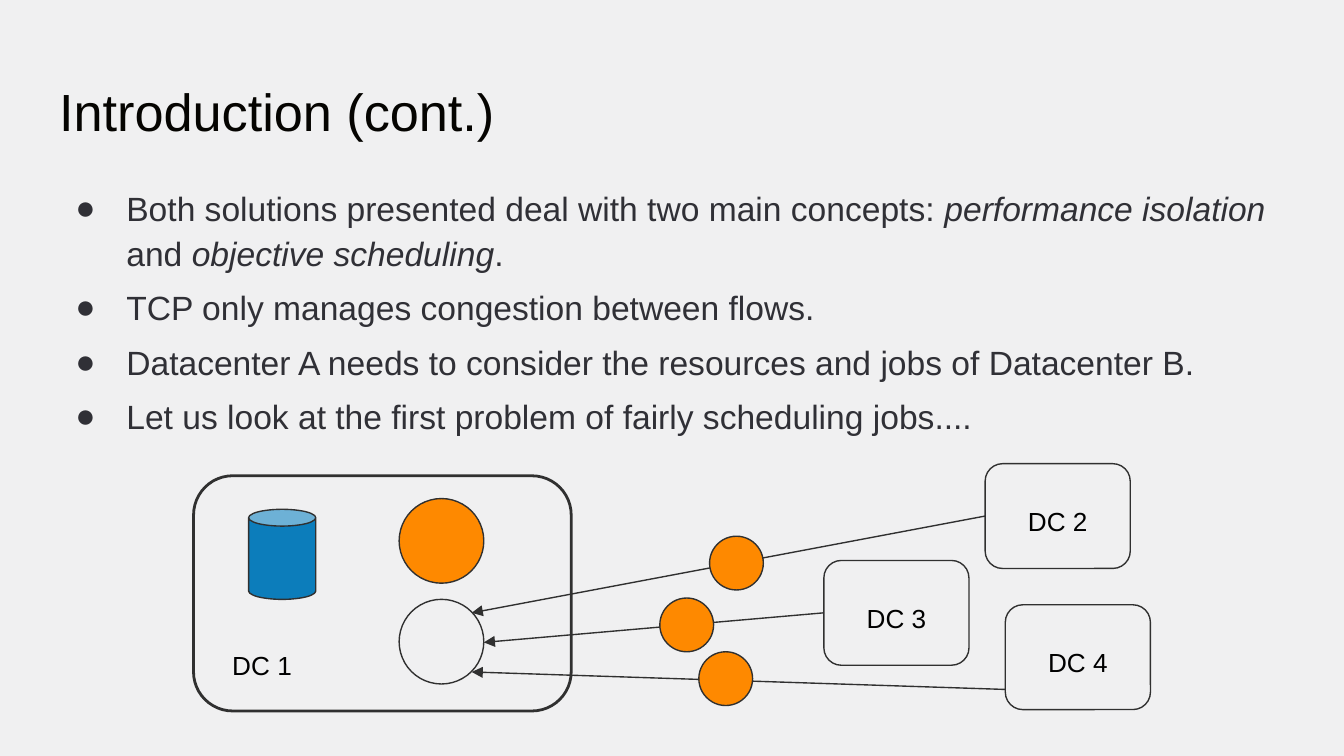
"""Build the slide on scheduling jobs between datacenters."""
from typing import Any, NamedTuple, Optional

from lxml.etree import SubElement
from pptx import Presentation
from pptx.dml.color import RGBColor
from pptx.enum.shapes import MSO_CONNECTOR as Connector, MSO_SHAPE as Preset
from pptx.enum.text import MSO_ANCHOR as Anchor, MSO_AUTO_SIZE as AutoSize, PP_ALIGN as Align
from pptx.oxml.ns import qn
from pptx.util import Inches, Pt

COLORS = {"background": "F0F0F1", "title": "050401", "body": "303036", "label": "000000",
          "line": "303030", "storage": "0C7DBB", "job": "FE8900"}
SLIDE_FORMAT = {"slide_width": Inches(10), "slide_height": Inches(10 * 9 / 16)}
FRAME_FORMAT = {"word_wrap": True, "auto_size": AutoSize.NONE, "vertical_anchor": Anchor.TOP,
                **{f"margin_{side}": Inches(0.1) for side in ("left", "top", "right", "bottom")}}
BULLET_FORMAT = {"alignment": Align.LEFT, "line_spacing": 1.12,
                 "space_before": Pt(5), "space_after": Pt(0)}
BULLETS = [
    [("Both solutions presented deal with two main concepts: ", False),
     ("performance isolation", True), (" and ", False),
     ("objective scheduling", True), (".", False)],
    [("TCP only manages congestion between flows.", False)],
    [("Datacenter A needs to consider the resources and jobs of Datacenter B.", False)],
    [("Let us look at the first problem of fairly scheduling jobs....", False)],
]


class Node(NamedTuple):
    preset: Preset
    left: float
    top: float
    width: float
    height: float
    color: Optional[str] = None
    line_width: float = 0.75


class Datacenter(NamedTuple):
    label: str
    left: float
    top: float


class Arrow(NamedTuple):
    start: tuple[float, float]
    end: tuple[float, float]
    source: Optional[str] = None


HOME_NODES = [
    Node(Preset.ROUNDED_RECTANGLE, 1.44, 3.54, 2.81, 1.75, line_width=1.5),
    Node(Preset.CAN, 1.85, 3.79, 0.5, 0.67, "storage"),
    Node(Preset.OVAL, 2.97, 3.71, 0.63, 0.63, "job"),
    Node(Preset.OVAL, 2.97, 4.46, 0.63, 0.63),
]
DATACENTERS = [Datacenter("DC 2", 7.33, 3.45), Datacenter("DC 3", 6.13, 4.17),
               Datacenter("DC 4", 7.48, 4.5)]
ARROWS = [Arrow((7.48, 5.13), (3.51, 5)), Arrow((7.33, 3.84), (3.51, 4.56), "DC 2"),
          Arrow((6.13, 4.56), (3.6, 4.78), "DC 3")]
MOVING_JOBS = [(5.28, 3.99), (4.91, 4.45), (5.2, 4.85)]


def rgb(name: str) -> RGBColor:
    return RGBColor.from_string(COLORS[name])


def apply_format(target: Any, values: dict[str, Any]) -> None:
    for name, value in values.items():
        setattr(target, name, value)


def format_font(font: Any, size: float, color: str) -> None:
    apply_format(font, {"name": "Arial", "size": Pt(size)})
    font.color.rgb = rgb(color)


def place(shape: Any, left: float, top: float, width: float, height: float) -> None:
    apply_format(shape, {"left": Inches(left), "top": Inches(top),
                         "width": Inches(width), "height": Inches(height)})


def format_line(line: Any, width: float) -> None:
    line.color.rgb = rgb("line")
    line.width = Pt(width)


def draw_title(shape: Any, text: str) -> None:
    place(shape, 0.34, 0.49, 9.32, 0.63)
    apply_format(shape.text_frame, {**FRAME_FORMAT, "text": text})
    paragraph = shape.text_frame.paragraphs[0]
    paragraph.alignment = Align.LEFT
    format_font(paragraph.font, 28, "title")


def draw_bullets(shape: Any) -> None:
    place(shape, 0.34, 1.26, 9.32, 3.74)
    frame = shape.text_frame
    apply_format(frame, FRAME_FORMAT)
    for index, parts in enumerate(BULLETS):
        paragraph = frame.add_paragraph() if index else frame.paragraphs[0]
        properties = paragraph._p.get_or_add_pPr()
        properties.set("marL", str(Inches(0.5)))
        properties.set("indent", str(Inches(-0.38)))
        SubElement(SubElement(properties, qn("a:buClr")), qn("a:srgbClr"), val=COLORS["body"])
        SubElement(properties, qn("a:buFont"), typeface="Arial")
        SubElement(properties, qn("a:buChar"), char="●")
        apply_format(paragraph, BULLET_FORMAT)
        format_font(paragraph.font, 18, "body")
        for text, italic in parts:
            run = paragraph.add_run()
            run.text = text
            format_font(run.font, 18, "body")
            run.font.italic = italic
    frame.paragraphs[0].space_before = Pt(0)
    frame.paragraphs[-1].space_after = Pt(5)


def draw_node(shapes: Any, node: Node) -> Any:
    box = [Inches(value) for value in (node.left, node.top, node.width, node.height)]
    shape = shapes.add_shape(node.preset, *box)
    shape.shadow.inherit = False
    if node.color:
        shape.fill.solid()
        shape.fill.fore_color.rgb = rgb(node.color)
    else:
        shape.fill.background()
    format_line(shape.line, node.line_width)
    return shape


def draw_label(shapes: Any, text: str, left: float, top: float, width: float, height: float) -> None:
    box = shapes.add_textbox(*[Inches(value) for value in (left, top, width, height)])
    apply_format(box.text_frame, {**FRAME_FORMAT, "text": text})
    format_font(box.text_frame.paragraphs[0].font, 14, "label")


def draw_datacenter(shapes: Any, center: Datacenter) -> Any:
    shape = draw_node(shapes, Node(Preset.ROUNDED_RECTANGLE, center.left, center.top, 1.08, 0.78))
    draw_label(shapes, center.label, center.left + 0.22, center.top + 0.21, 0.65, 0.38)
    return shape


def draw_arrow(shapes: Any, arrow: Arrow, boxes: dict[str, Any]) -> None:
    ends = [Inches(value) for value in (*arrow.start, *arrow.end)]
    connector = shapes.add_connector(Connector.STRAIGHT, *ends)
    if arrow.source:
        connector.begin_connect(boxes[arrow.source], 1)
    format_line(connector.line, 0.75)
    SubElement(connector.line._get_or_add_ln(), qn("a:tailEnd"), type="triangle")
    SubElement(connector._element.spPr, qn("a:effectLst"))


def main() -> None:
    presentation = Presentation()
    apply_format(presentation, SLIDE_FORMAT)
    slide = presentation.slides.add_slide(presentation.slide_layouts[1])
    slide.background.fill.solid()
    slide.background.fill.fore_color.rgb = rgb("background")
    draw_title(slide.shapes.title, "Introduction (cont.)")
    draw_bullets(slide.placeholders[1])

    diagram = slide.shapes.add_group_shape().shapes
    for node in HOME_NODES:
        draw_node(diagram, node)
    boxes = {center.label: draw_datacenter(diagram, center) for center in DATACENTERS}
    for arrow in ARROWS:
        draw_arrow(diagram, arrow, boxes)
    draw_label(diagram, "DC 1", 1.63, 4.73, 0.8, 0.47)
    for left, top in MOVING_JOBS:
        draw_node(slide.shapes, Node(Preset.OVAL, left, top, 0.4, 0.4, "job"))
    presentation.save("out.pptx")


if __name__ == "__main__":
    main()
